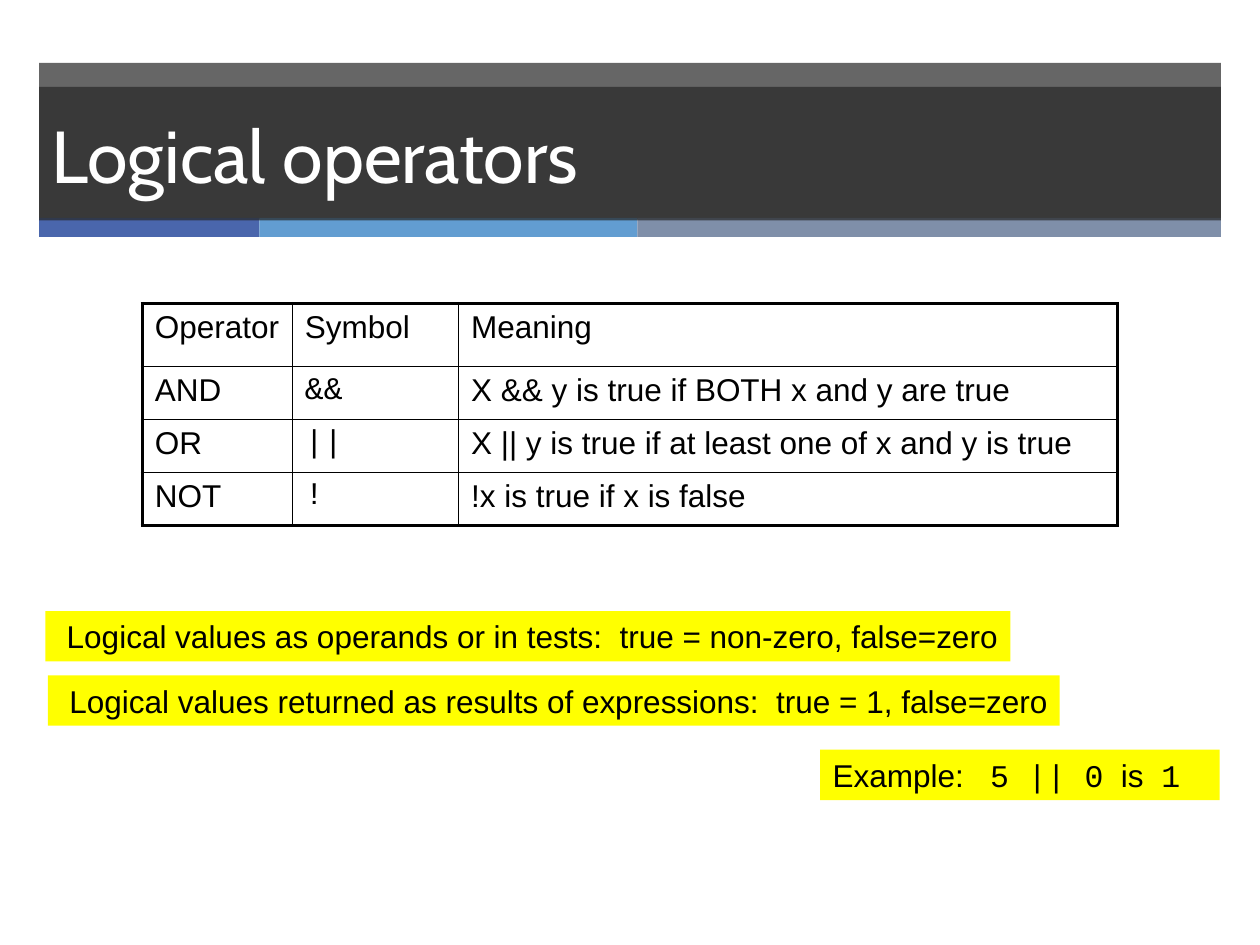
import dataclasses

import pptx
import pptx.dml.color
import pptx.enum.shapes
import pptx.enum.text
import pptx.oxml
import pptx.oxml.ns
import pptx.util
from pptx.util import Inches


@dataclasses.dataclass(frozen=True)
class Theme:
    banner: str = "262626"
    banner_opacity: int = 70
    accents: tuple = ("4A66AC", "629DD1", "7F8FA9")
    note: str = "FFFF00"
    ink: str = "000000"
    paper: str = "FFFFFF"
    title_font: str = "Cabin"
    body_font: str = "Arial"
    code_font: str = "Courier New"
    title_size: float = 42
    body_size: float = 18
    outer_line: float = 2.25
    inner_line: float = 1


THEME = Theme()


def rgb(color):
    return pptx.dml.color.RGBColor.from_string(color)


def style_font(font, name, size, color):
    font.name = name
    font.size = pptx.util.Pt(size)
    font.color.rgb = rgb(color)


def add_bar(slide, left, top, width, height, color, opacity=100):
    bar = slide.shapes.add_shape(
        pptx.enum.shapes.MSO_SHAPE.RECTANGLE,
        Inches(left), Inches(top), Inches(width), Inches(height))
    bar.shadow.inherit = False
    bar.line.fill.background()
    bar.fill.solid()
    bar.fill.fore_color.rgb = rgb(color)
    if opacity < 100:
        tint = bar._element.spPr.find(".//" + pptx.oxml.ns.qn("a:srgbClr"))
        tint.append(pptx.oxml.parse_xml(
            f'<a:alpha {pptx.oxml.ns.nsdecls("a")} val="{opacity * 1000}"/>'))
    return bar


def add_banner(slide, title):
    left, width = 0.31, 9.38
    add_bar(slide, left, 0.5, width, 1.24, THEME.banner, THEME.banner_opacity)
    stripe_left = left
    for stripe_width, color in zip((1.75, 3, 4.63), THEME.accents):
        add_bar(slide, stripe_left, 1.73, stripe_width, 0.15, color)
        stripe_left += stripe_width
    heading = add_bar(slide, left, 0.69, width, 1.06, THEME.banner, THEME.banner_opacity)
    heading.text_frame.vertical_anchor = pptx.enum.text.MSO_ANCHOR.MIDDLE
    paragraph = heading.text_frame.paragraphs[0]
    paragraph.text = title
    paragraph.alignment = pptx.enum.text.PP_ALIGN.LEFT
    style_font(paragraph.font, THEME.title_font, THEME.title_size, THEME.paper)


def set_borders(cell, widths):
    properties = cell._tc.get_or_add_tcPr()
    for position, (side, width) in enumerate(widths.items()):
        properties.insert(position, pptx.oxml.parse_xml(
            f'<a:ln{side} {pptx.oxml.ns.nsdecls("a")} w="{pptx.util.Pt(width)}">'
            f'<a:solidFill><a:srgbClr val="{THEME.ink}"/></a:solidFill></a:ln{side}>'))


def add_operator_table(slide, rows):
    column_widths = (1.19, 1.32, 5.23)
    row_heights = (0.5, 0.42, 0.42, 0.42)
    table = slide.shapes.add_table(
        len(rows), len(column_widths), Inches(1.13), Inches(2.41),
        Inches(sum(column_widths)), Inches(sum(row_heights))).table
    table.first_row = table.horz_banding = False
    for column, width in zip(table.columns, column_widths):
        column.width = Inches(width)
    for row, height in zip(table.rows, row_heights):
        row.height = Inches(height)

    last_row, last_column = len(rows) - 1, len(column_widths) - 1
    for r, row in enumerate(rows):
        for c, text in enumerate(row):
            cell = table.cell(r, c)
            cell.fill.background()
            edges = {"L": c == 0, "R": c == last_column, "T": r == 0, "B": r == last_row}
            set_borders(cell, {
                side: THEME.outer_line if outer else THEME.inner_line
                for side, outer in edges.items()})
            paragraph = cell.text_frame.paragraphs[0]
            paragraph.text = text
            is_code = c == 1 and r > 0
            style_font(paragraph.font, THEME.code_font if is_code else THEME.body_font,
                       THEME.body_size, THEME.ink)


def add_note(slide, left, top, width, pieces, indent=0.1):
    note = add_bar(slide, left, top, width, 0.4, THEME.note)
    frame = note.text_frame
    frame.word_wrap = True
    frame.margin_left, frame.margin_right = Inches(indent), 0
    paragraph = frame.paragraphs[0]
    paragraph.alignment = pptx.enum.text.PP_ALIGN.LEFT
    style_font(paragraph.font, THEME.body_font, THEME.body_size, THEME.ink)
    for text, font_name in pieces:
        run = paragraph.add_run()
        run.text = text
        if font_name != THEME.body_font:
            run.font.name = font_name


def main():
    presentation = pptx.Presentation()
    presentation.slide_width, presentation.slide_height = Inches(10), Inches(7.5)
    slide = presentation.slides.add_slide(presentation.slide_layouts[6])

    add_banner(slide, "Logical operators")
    add_operator_table(slide, (
        ("Operator", "Symbol", "Meaning"),
        ("AND", "&&", "X && y is true if BOTH x and y are true"),
        ("OR", "||", "X || y is true if at least one of x and y is true"),
        ("NOT", "!", "!x is true if x is false"),
    ))

    body, code = THEME.body_font, THEME.code_font
    add_note(slide, 0.36, 4.85, 7.66, [
        ("Logical values as operands or in tests:  true = non-zero, false=zero", body)], 0.17)
    add_note(slide, 0.38, 5.36, 8.03, [
        ("Logical values returned as results of expressions:  true = 1, false=zero", body)], 0.17)
    add_note(slide, 6.51, 5.95, 3.17, [
        ("Example:   ", body), ("5 || 0", code), ("  is  ", body), ("1", code)])

    presentation.save("out.pptx")


if __name__ == "__main__":
    main()
